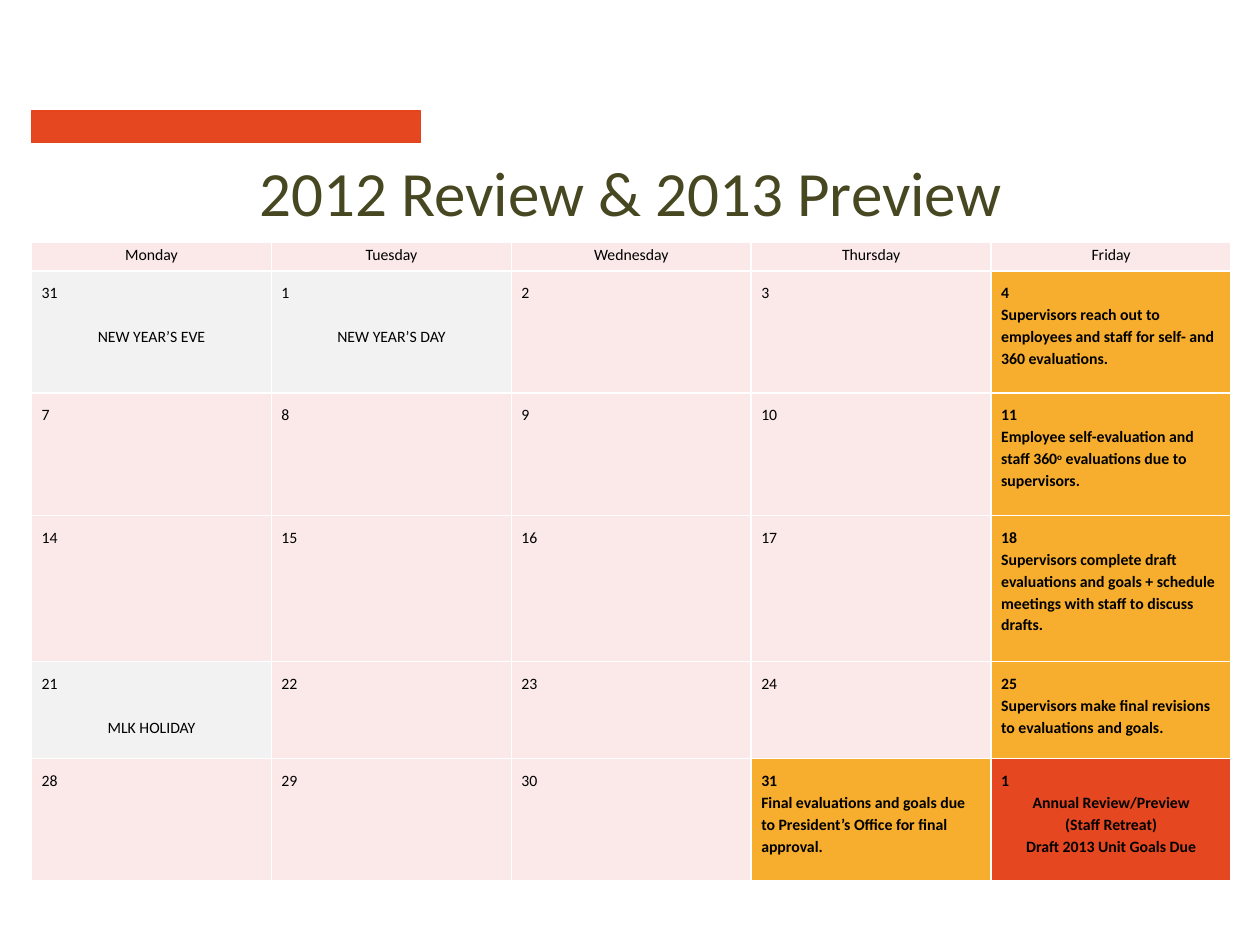
from lxml.etree import SubElement
from pptx import Presentation
from pptx.dml.color import RGBColor
from pptx.enum.shapes import MSO_SHAPE
from pptx.enum.text import MSO_ANCHOR, PP_ALIGN
from pptx.oxml.ns import qn
from pptx.util import Inches, Pt

FONT = "Calibri"
BLACK, WHITE, OLIVE = "000000", "FFFFFF", "474822"
PINK, GREY, AMBER, RED = "FAE9E8", "F2F2F2", "F7AE2E", "E54721"
LINE_HEIGHT = Pt(12.6)

WEEKDAYS = ["Monday", "Tuesday", "Wednesday", "Thursday", "Friday"]
WEEKS = [
    [31, 1, 2, 3, 4],
    [7, 8, 9, 10, 11],
    [14, 15, 16, 17, 18],
    [21, 22, 23, 24, 25],
    [28, 29, 30, 31, 1],
]
ROW_HEIGHTS = [0.23, 0.97, 0.97, 1.16, 0.77, 0.97]

# Entries by (week, weekday); text between ^ marks is superscript
HOLIDAYS = {
    (0, 0): "NEW YEAR’S EVE",
    (0, 1): "NEW YEAR’S DAY",
    (3, 0): "MLK HOLIDAY",
}
DEADLINES = {
    (0, 4): "Supervisors reach out to employees and staff for self- and 360 evaluations.",
    (1, 4): "Employee self-evaluation and staff 360^o^ evaluations due to supervisors.",
    (2, 4): "Supervisors complete draft evaluations and goals + schedule meetings "
            "with staff to discuss drafts.",
    (3, 4): "Supervisors make final revisions to evaluations and goals.",
    (4, 3): "Final evaluations and goals due to President’s Office for final approval.",
}
RETREAT = {
    (4, 4): ["Annual Review/Preview", "(Staff Retreat)", "Draft 2013 Unit Goals Due"],
}


def color(value):
    return RGBColor.from_string(value)


def add_span(para, text, size, value, bold=False, raised=False):
    span = para.add_run()
    span.text = text
    font = span.font
    font.name, font.size, font.bold = FONT, Pt(size), bold
    font.color.rgb = color(value)
    if raised:
        span.font._element.set("baseline", "30000")


def add_line(cell, text, bold=False, centered=False, gap=None):
    """Write one paragraph, using the cell's empty first one if it is free."""
    para = cell.text_frame.paragraphs[0]
    if para.runs:
        para = cell.text_frame.add_paragraph()
    para.line_spacing = 1.15
    para.alignment = PP_ALIGN.CENTER if centered else PP_ALIGN.LEFT
    if gap:
        para.space_before = gap
    for index, part in enumerate(text.split("^")):
        add_span(para, part, 9, BLACK, bold, raised=index % 2 == 1)


def style_cell(cell, fill, top=0.08, bottom=0.08):
    cell.margin_left = cell.margin_right = Inches(0.08)
    cell.margin_top, cell.margin_bottom = Inches(top), Inches(bottom)
    properties = cell._tc.get_or_add_tcPr()
    for side in ("a:lnL", "a:lnR", "a:lnT", "a:lnB"):
        border = SubElement(properties, qn(side), w=str(Pt(1)))
        solid = SubElement(border, qn("a:solidFill"))
        SubElement(solid, qn("a:srgbClr"), val=WHITE)
    cell.fill.solid()
    cell.fill.fore_color.rgb = color(fill)


def add_accent_bar(page):
    bar = page.shapes.add_shape(
        MSO_SHAPE.RECTANGLE, Inches(0.25), Inches(0.88), Inches(3.09), Inches(0.25))
    bar.shadow.inherit = False
    bar.fill.solid()
    bar.fill.fore_color.rgb = color(RED)
    bar.line.color.rgb = color("E5431B")
    bar.line.width = Pt(0.75)


def set_title(page, text):
    title = page.shapes.title
    title.left, title.top = Inches(0.25), Inches(1.14)
    title.width, title.height = Inches(9.51), Inches(0.75)
    title.text_frame.vertical_anchor = MSO_ANCHOR.MIDDLE
    para = title.text_frame.paragraphs[0]
    para.alignment = PP_ALIGN.CENTER
    add_span(para, text, 36, OLIVE)


def fill_day(cell, day, place):
    if place in HOLIDAYS:
        style_cell(cell, GREY)
        add_line(cell, day)
        add_line(cell, HOLIDAYS[place], centered=True, gap=LINE_HEIGHT)
    elif place in DEADLINES:
        style_cell(cell, AMBER)
        add_line(cell, day, bold=True)
        add_line(cell, DEADLINES[place], bold=True)
    elif place in RETREAT:
        style_cell(cell, RED)
        add_line(cell, day, bold=True)
        for text in RETREAT[place]:
            add_line(cell, text, bold=True, centered=True)
    else:
        style_cell(cell, PINK)
        add_line(cell, day)


def add_calendar(page):
    frame = page.shapes.add_table(
        len(ROW_HEIGHTS), len(WEEKDAYS), Inches(0.25), Inches(1.92),
        Inches(9.52), Inches(sum(ROW_HEIGHTS)))
    table = frame.table
    table.horz_banding = False
    for row, height in zip(table.rows, ROW_HEIGHTS):
        row.height = Inches(height)

    # Weekday header
    for column, name in enumerate(WEEKDAYS):
        cell = table.cell(0, column)
        style_cell(cell, PINK, top=0, bottom=0.04)
        cell.vertical_anchor = MSO_ANCHOR.MIDDLE
        add_line(cell, name, centered=True)

    # Days
    for week, days in enumerate(WEEKS):
        for column, day in enumerate(days):
            fill_day(table.cell(week + 1, column), str(day), (week, column))


def main():
    deck = Presentation()
    deck.slide_width, deck.slide_height = Inches(10), Inches(7.5)
    page = deck.slides.add_slide(deck.slide_layouts[5])
    add_accent_bar(page)
    set_title(page, "2012 Review & 2013 Preview")
    add_calendar(page)
    deck.save("out.pptx")


if __name__ == "__main__":
    main()
